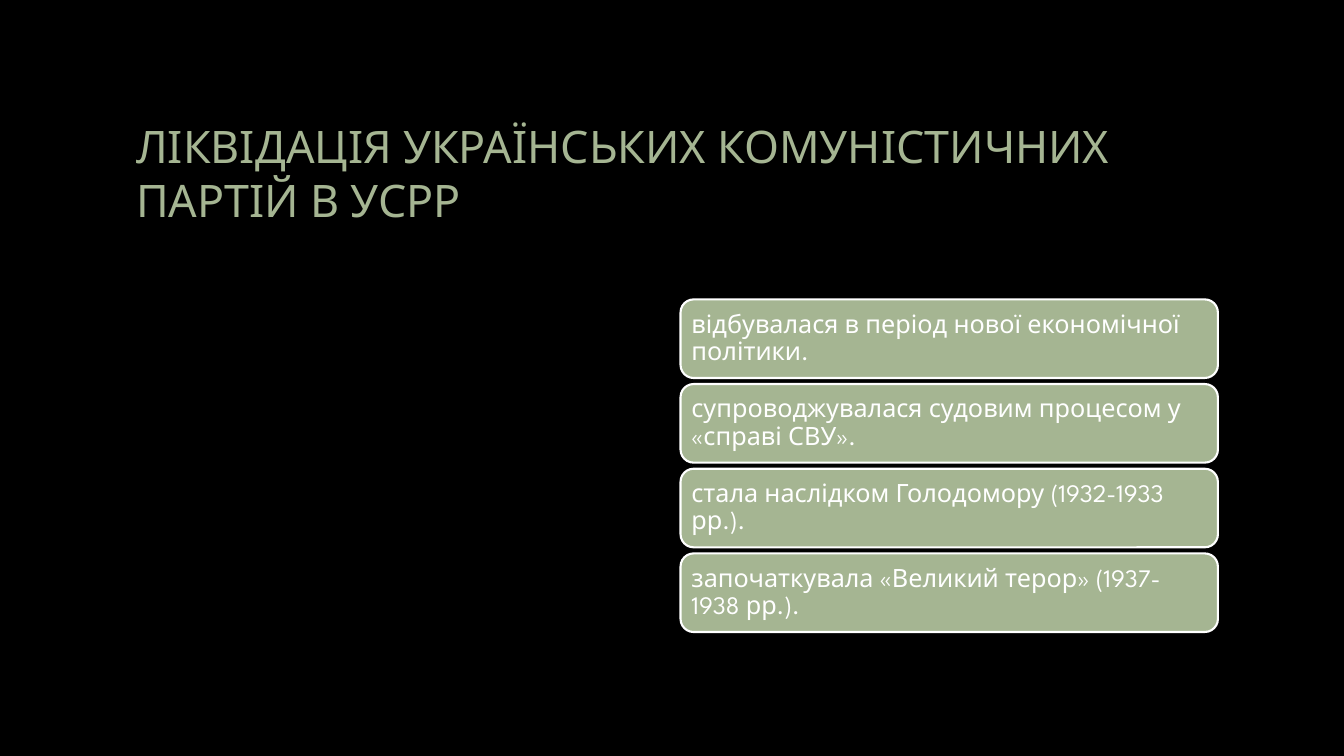
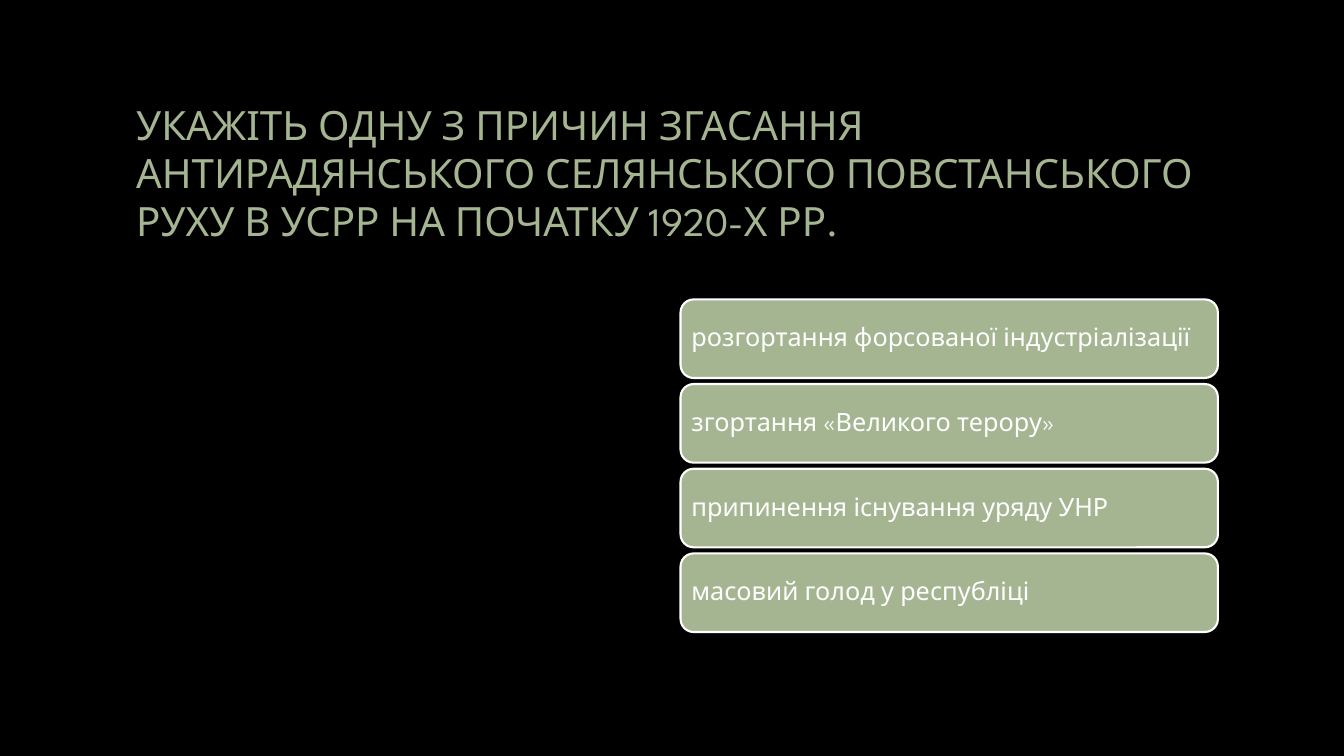
from pptx import Presentation
from pptx import util as u
from pptx.dml import color
from pptx.enum import shapes, text

PX = 9144
FONT = "League Spartan"
BLACK, SAGE, WHITE = "000000", "A5B592", "FFFFFF"
TITLE = (125, 67, 1083, 208)
LIST = (675, 297, 533, 330)
GAP, INSET = 6, 7

QUIZ = [
    ("ЛІКВІДАЦІЯ УКРАЇНСЬКИХ КОМУНІСТИЧНИХ ПАРТІЙ В УСРР", 32, [
        "відбувалася в період нової економічної політики.",
        "супроводжувалася судовим процесом у «справі СВУ».",
        "стала наслідком Голодомору (1932-1933 рр.).",
        "започаткувала «Великий терор» (1937-1938 рр.).",
    ]),
    ("УКАЖІТЬ ОДНУ З ПРИЧИН ЗГАСАННЯ АНТИРАДЯНСЬКОГО СЕЛЯНСЬКОГО "
     "ПОВСТАНСЬКОГО РУХУ В УСРР НА ПОЧАТКУ 1920-Х РР.", 28.8, [
         "розгортання форсованої індустріалізації",
         "згортання «Великого терору»",
         "припинення існування уряду УНР",
         "масовий голод у республіці",
     ]),
]


def px(n):
    """Turn px into EMU."""
    return u.Emu(round(n * PX))


def paint(fill, tone):
    """Give a fill one solid colour."""
    fill.solid()
    fill.fore_color.rgb = color.RGBColor.from_string(tone)


def write(frame, words, size, tone):
    """Set left-aligned, vertically centred text in a frame."""
    frame.word_wrap = True
    frame.auto_size = text.MSO_AUTO_SIZE.NONE
    frame.vertical_anchor = text.MSO_ANCHOR.MIDDLE
    para = frame.paragraphs[0]
    para.text = words
    para.alignment = text.PP_ALIGN.LEFT
    para.font.name, para.font.size = FONT, u.Pt(size)
    paint(para.font.fill, tone)
    return para


def head(slide, box, words, size):
    """Place the slide title in its box."""
    title = slide.shapes.title
    title.left, title.top, title.width, title.height = map(px, box)
    write(title.text_frame, words, size, SAGE)


def card(slide, box, words):
    """Draw one rounded answer card."""
    shape = slide.shapes.add_shape(
        shapes.MSO_SHAPE.ROUNDED_RECTANGLE, *map(px, box))
    shape.shadow.inherit = False
    paint(shape.fill, SAGE)
    paint(shape.line.fill, WHITE)
    shape.line.width = u.Pt(1.5)
    frame = shape.text_frame
    frame.margin_left = frame.margin_right = px(INSET)
    frame.margin_top = frame.margin_bottom = px(INSET)
    write(frame, words, 18, WHITE).line_spacing = 0.9


def stack(slide, box, items):
    """Share a box equally among answer cards."""
    left, top, width, height = box
    step = (height + GAP) / len(items)
    for i, words in enumerate(items):
        card(slide, (left, top + i * step, width, step - GAP), words)


def main():
    """Build and save the quiz deck."""
    deck = Presentation()
    deck.slide_width, deck.slide_height = u.Inches(13.33), u.Inches(7.5)
    paint(deck.slide_master.background.fill, BLACK)
    layout = deck.slide_layouts.get_by_name("Title Only")
    for words, size, items in QUIZ:
        slide = deck.slides.add_slide(layout)
        head(slide, TITLE, words, size)
        stack(slide, LIST, items)
    deck.save("out.pptx")


if __name__ == "__main__":
    main()
